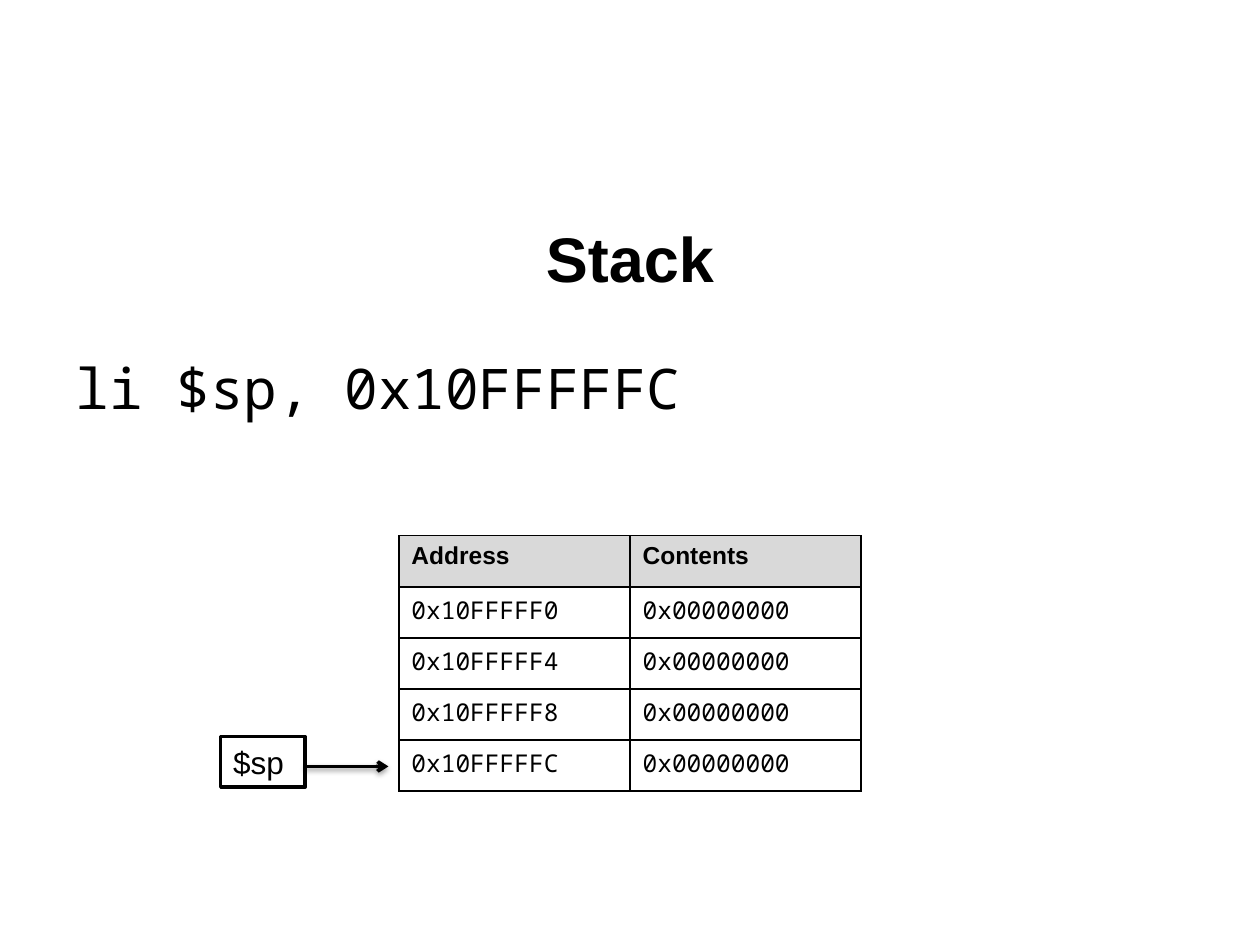
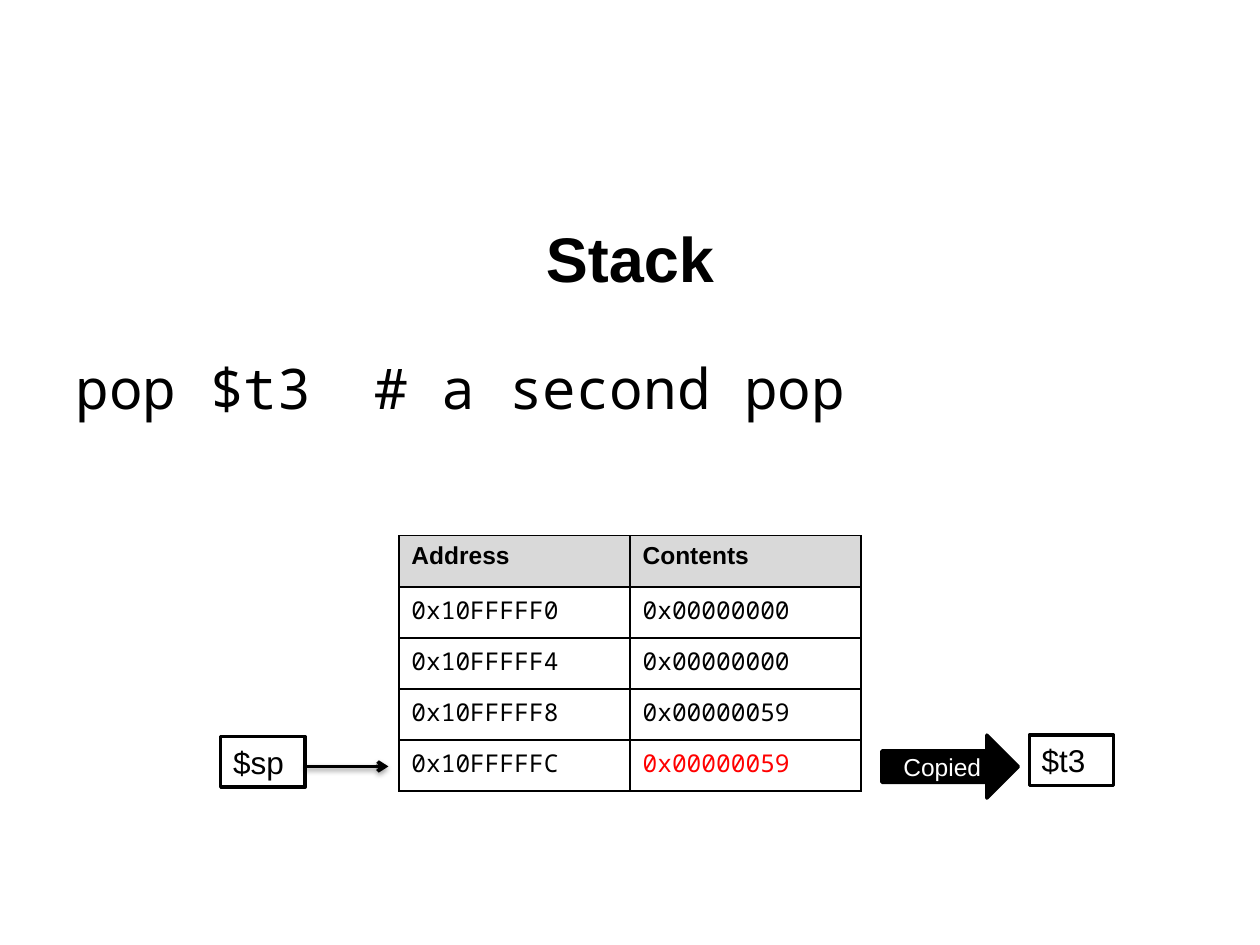
from pptx import Presentation
from pptx.dml.color import RGBColor as RGB
from pptx.enum.shapes import MSO_CONNECTOR as LINK, MSO_SHAPE as SHAPE
from pptx.enum.text import MSO_ANCHOR as ANCHOR, MSO_AUTO_SIZE as FIT, PP_ALIGN as ALIGN
from pptx.oxml import parse_xml
from pptx.oxml.ns import nsdecls
from pptx.util import Cm, Pt

INK = {"black": "000000", "white": "FFFFFF", "grey": "D9D9D9", "red": "FF0000"}
SANS, MONO = "Arial", "Noto Sans Mono"
NS = nsdecls("a")
ROW = 1.03   # table row height in cm
COL = 4.66   # table column width in cm


def write(par, text, size, font=SANS, ink="black", bold=False):
    run = par.add_run()
    run.text = text
    run.font.name, run.font.size, run.font.bold = font, Pt(size), bold
    run.font.color.rgb = RGB.from_string(INK[ink])


def label(slide, text, left, top):
    box = slide.shapes.add_textbox(Cm(left), Cm(top), Cm(1.7), Cm(1.02))
    box.line.color.rgb = RGB.from_string(INK["black"])
    box.line.width = Pt(2)
    box.text_frame.word_wrap = True
    write(box.text_frame.paragraphs[0], text, 18)


# Command, stack contents from low to high address, target of the copy
steps = [
    ("li $sp, 0x10FFFFFC", ["0x00000000"] * 4, None),
    ("pop $t3\t# a second pop", ["0x00000000"] * 2 + ["0x00000059"] * 2, "$t3"),
]

deck = Presentation()
deck.slide_width, deck.slide_height = Cm(25.4), Cm(19.05)

for code, words, target in steps:
    slide = deck.slides.add_slide(deck.slide_layouts[1])

    # Title
    title = slide.shapes.title
    title.left, title.top, title.width, title.height = Cm(1.27), Cm(3.6), Cm(22.86), Cm(3.18)
    title.text_frame.vertical_anchor = ANCHOR.MIDDLE
    par = title.text_frame.paragraphs[0]
    par.alignment = ALIGN.CENTER
    write(par, "Stack", 36, bold=True)

    # Command line
    body = slide.placeholders[1]
    body.left, body.top, body.width, body.height = Cm(1.27), Cm(6.99), Cm(22.86), Cm(3.38)
    body.text_frame.auto_size = FIT.NONE
    par = body.text_frame.paragraphs[0]
    props = par._p.get_or_add_pPr()
    props.set("marL", str(Cm(0.95)))
    props.set("indent", str(Cm(-0.95)))
    props.set("defTabSz", str(Cm(2.54)))
    props.append(parse_xml(f"<a:buNone {NS}/>"))
    par.space_before = Pt(0)
    write(par, code, 32, MONO)

    # Stack table
    rows = [("Address", "Contents")]
    rows += [(f"0x10FFFFF{4 * i:X}", word) for i, word in enumerate(words)]
    table = slide.shapes.add_table(
        len(rows), 2, Cm(8.04), Cm(10.8), Cm(2 * COL), Cm(len(rows) * ROW)).table
    table.first_row = table.horz_banding = False
    for col in table.columns:
        col.width = Cm(COL)
    for r, row in enumerate(rows):
        table.rows[r].height = Cm(ROW)
        for c, text in enumerate(row):
            cell = table.cell(r, c)
            for side in "LRTB":
                cell._tc.get_or_add_tcPr().append(parse_xml(
                    f'<a:ln{side} {NS} w="{Pt(1)}"><a:solidFill>'
                    f'<a:srgbClr val="{INK["black"]}"/></a:solidFill></a:ln{side}>'))
            head = r == 0
            if head:
                cell.fill.solid()
                cell.fill.fore_color.rgb = RGB.from_string(INK["grey"])
            else:
                cell.fill.background()
            copied = target and (r, c) == (len(words), 1)
            write(cell.text_frame.paragraphs[0], text, 14, SANS if head else MONO,
                  "red" if copied else "black", head)

    # Stack pointer
    label(slide, "$sp", 4.45, 14.85)
    line = slide.shapes.add_connector(LINK.STRAIGHT, Cm(6.15), Cm(15.45), Cm(7.83), Cm(15.45))
    line.line.color.rgb = RGB.from_string(INK["black"])
    line.line.width = Pt(2)
    line.line._get_or_add_ln().append(parse_xml(f'<a:tailEnd {NS} type="arrow"/>'))
    line._element.spPr.append(parse_xml(
        f'<a:effectLst {NS}><a:outerShdw blurRad="{Pt(3.1)}" dist="{Pt(1.6)}" '
        f'dir="5400000" rotWithShape="0"><a:srgbClr val="{INK["black"]}">'
        '<a:alpha val="38000"/></a:srgbClr></a:outerShdw></a:effectLst>'))

    # Copy into the register
    if target:
        label(slide, target, 20.75, 14.82)
        arrow = slide.shapes.add_shape(
            SHAPE.RIGHT_ARROW, Cm(17.78), Cm(14.82), Cm(2.75), Cm(1.27))
        arrow.shadow.inherit = False
        arrow.fill.solid()
        arrow.fill.fore_color.rgb = RGB.from_string(INK["black"])
        arrow.line.color.rgb = RGB.from_string(INK["black"])
        arrow.line.width = Pt(2)
        arrow.text_frame.vertical_anchor = ANCHOR.MIDDLE
        arrow.text_frame.word_wrap = False
        par = arrow.text_frame.paragraphs[0]
        par.alignment = ALIGN.CENTER
        write(par, "Copied", 14, ink="white")

deck.save("out.pptx")
